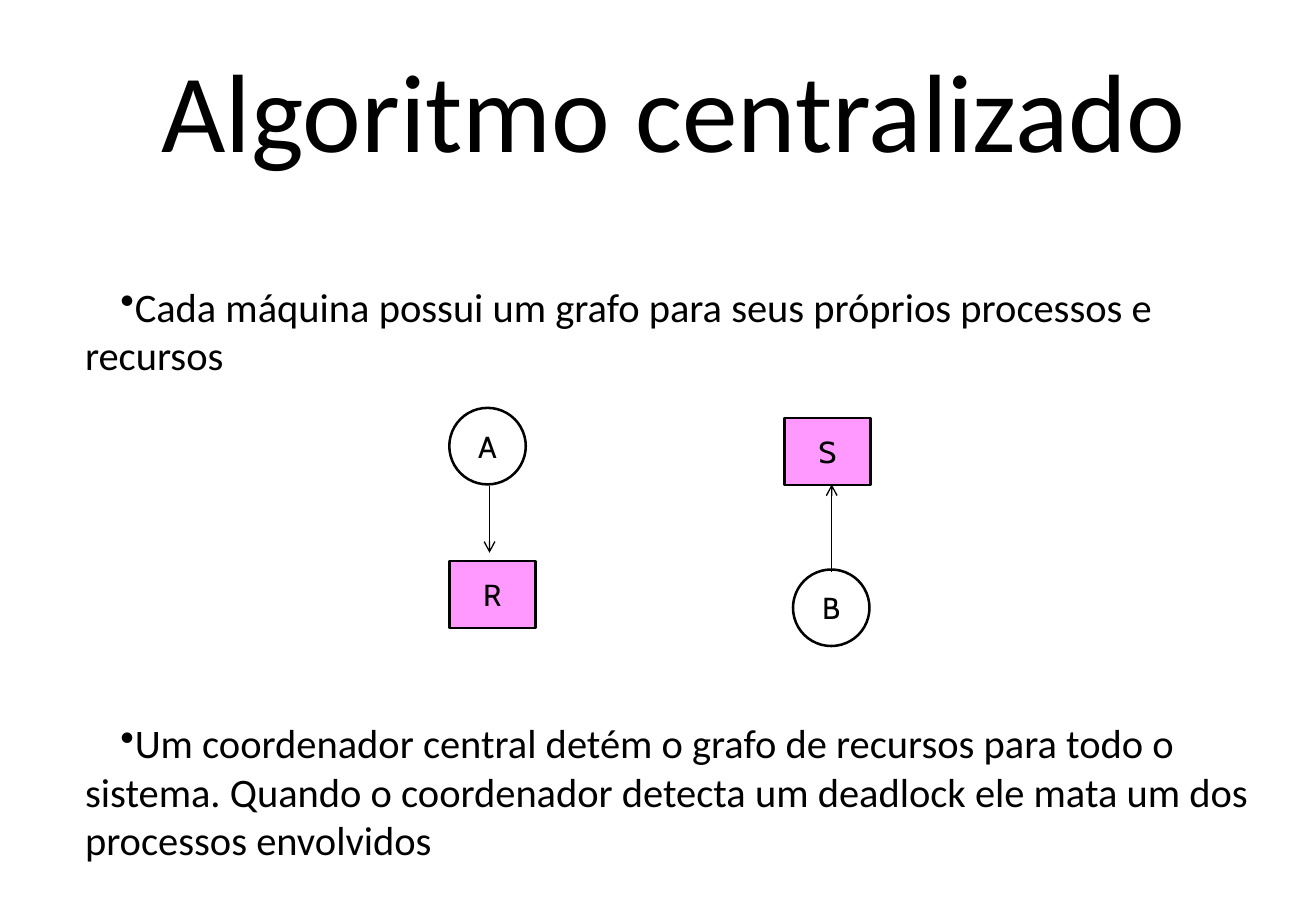
import pptx
import pptx.util
import pptx.dml.color
import pptx.enum.shapes
import pptx.enum.text
import pptx.oxml
import pptx.oxml.ns

Cm = pptx.util.Cm
Pt = pptx.util.Pt
Kind = pptx.enum.shapes.MSO_SHAPE
Align = pptx.enum.text.PP_ALIGN
Mid = pptx.enum.text.MSO_ANCHOR.MIDDLE
BLACK = pptx.dml.color.RGBColor(0x00, 0x00, 0x00)
PINK = pptx.dml.color.RGBColor(0xFF, 0x99, 0xFF)
NS = pptx.oxml.ns.nsdecls("a")


def add_run(para, text, size, face):
    run = para.add_run()
    run.text = text
    run.font.size = Pt(size)
    run.font.name = face
    run.font.color.rgb = BLACK


deck = pptx.Presentation()
deck.slide_width = Cm(27.53)
deck.slide_height = Cm(19.05)
slide = deck.slides.add_slide(deck.slide_layouts[6])
shapes = slide.shapes

title = shapes.add_textbox(Cm(1.83), Cm(0.84), Cm(24.54), Cm(2.84)).text_frame
title.word_wrap = True
title.vertical_anchor = Mid
title.margin_top = title.margin_bottom = 0
title.paragraphs[0].alignment = Align.CENTER
add_run(title.paragraphs[0], "Algoritmo centralizado", 66, "Calibri")

body = shapes.add_textbox(Cm(0.79), Cm(5.77), Cm(25.96), Cm(13.2)).text_frame
body.word_wrap = True
points = [
    "Cada máquina possui um grafo para seus próprios processos e recursos",
    "Um coordenador central detém o grafo de recursos para todo o sistema. "
    "Quando o coordenador detecta um deadlock ele mata um dos processos envolvidos",
]
for rank, text in enumerate(points):
    para = body.add_paragraph() if rank else body.paragraphs[0]
    props = para._p.get_or_add_pPr()
    props.set("marL", str(Cm(0.74)))
    props.set("indent", str(Cm(0.74)))
    props.append(pptx.oxml.parse_xml(f'<a:buChar {NS} char="•"/>'))
    if rank:
        para.space_before = Pt(201)
    add_run(para, text, 24, "Calibri")

nodes = [
    ("A", Kind.OVAL, 9.4, 8.53),
    ("B", Kind.OVAL, 16.59, 11.91),
    ("S", Kind.RECTANGLE, 16.41, 8.74),
    ("R", Kind.RECTANGLE, 9.4, 11.73),
]
sizes = {Kind.OVAL: (1.6, 1.6), Kind.RECTANGLE: (1.8, 1.4)}
for name, kind, left, top in nodes:
    wide, high = sizes[kind]
    node = shapes.add_shape(kind, Cm(left), Cm(top), Cm(wide), Cm(high))
    node.shadow.inherit = False
    if kind == Kind.RECTANGLE:
        node.fill.solid()
        node.fill.fore_color.rgb = PINK
    else:
        node.fill.background()
    node.line.color.rgb = BLACK
    node.line.width = Pt(1.5)
    node.text_frame.vertical_anchor = Mid
    node.text_frame.paragraphs[0].alignment = Align.CENTER
    add_run(node.text_frame.paragraphs[0], name, 18, "Cabin")

for x, start, end in [(10.24, 10.16, 11.56), (17.4, 11.96, 10.13)]:
    arrow = shapes.add_connector(
        pptx.enum.shapes.MSO_CONNECTOR.STRAIGHT, Cm(x), Cm(start), Cm(x), Cm(end)
    )
    arrow.line.color.rgb = BLACK
    arrow.line.width = Pt(0.79)
    arrow.line._get_or_add_ln().append(
        pptx.oxml.parse_xml(f'<a:tailEnd {NS} type="arrow"/>')
    )
    arrow._element.spPr.append(pptx.oxml.parse_xml(f"<a:effectLst {NS}/>"))

deck.save("out.pptx")
